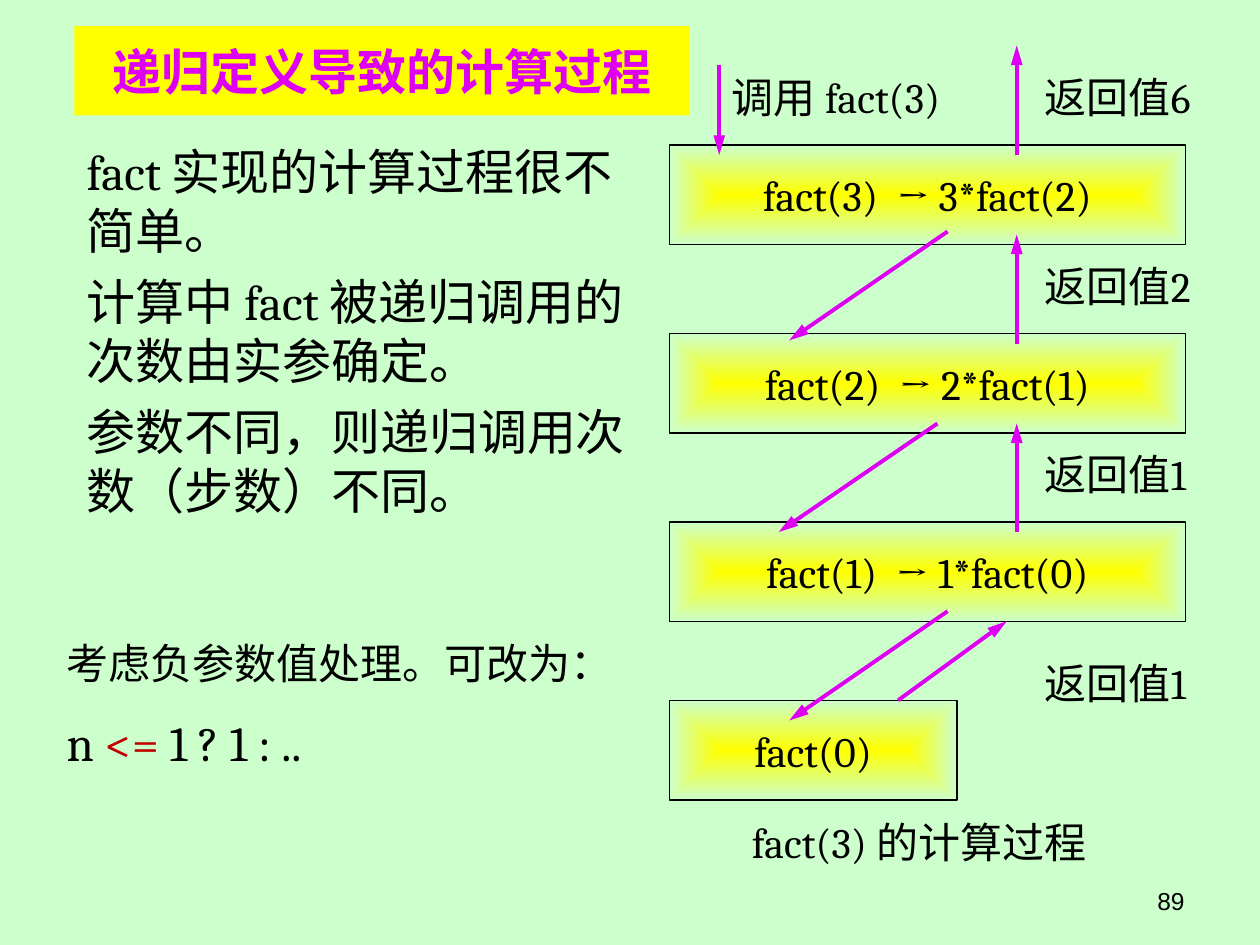
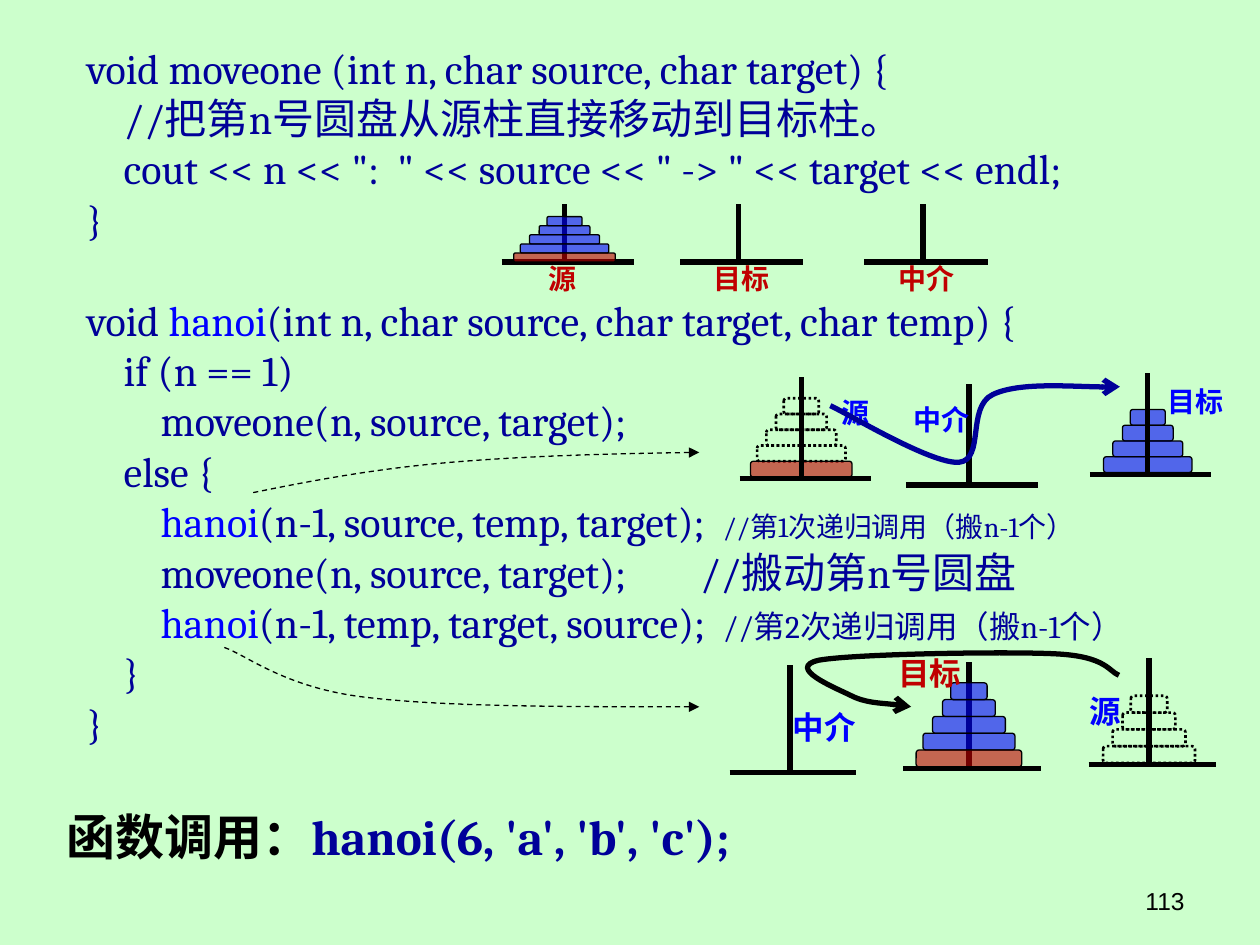
"""Build two slides on recursion: the factorial call chain and the Hanoi towers."""
from lxml.etree import SubElement
from pptx import Presentation
from pptx.dml.color import RGBColor
from pptx.enum.dml import MSO_LINE
from pptx.enum.shapes import MSO_CONNECTOR, MSO_SHAPE
from pptx.enum.text import MSO_ANCHOR, PP_ALIGN
from pptx.oxml.ns import qn
from pptx.util import Pt

BLACK = RGBColor(0x00, 0x00, 0x00)
MINT = RGBColor(0xCC, 0xFF, 0xCC)
YELLOW = RGBColor(0xFF, 0xFF, 0x00)
MAGENTA = RGBColor(0xDE, 0x00, 0xF2)
RED = RGBColor(0xC0, 0x00, 0x00)
BLUE = RGBColor(0x00, 0x00, 0xFF)
NAVY = RGBColor(0x00, 0x00, 0x99)

BODY = {"size": Pt(28), "name": "Cambria", "color": BLACK}
CAPTION = {**BODY, "size": Pt(24)}
TITLE = {**BODY, "bold": True, "color": MAGENTA}
CODE = {**CAPTION, "color": NAVY}
NUMBER = {"size": Pt(14), "name": "Arial", "color": BLACK}
LABEL = {"name": "Times New Roman", "bold": True}
CALL = {"color": BLUE}


def write_text(shape, lines, style, align=PP_ALIGN.LEFT, space=0, inset=(7.2, 3.6)):
    """Fill a shape with lines, each a string or a list of (text, changes) runs."""
    frame = shape.text_frame
    frame.word_wrap = True
    for side, length in zip(("left", "top", "right", "bottom"), inset * 2):
        setattr(frame, f"margin_{side}", Pt(length))
    for index, line in enumerate(lines):
        paragraph = frame.add_paragraph() if index else frame.paragraphs[0]
        paragraph.alignment = align
        if index and space:
            paragraph.space_before = Pt(space)
        for text, changes in [(line, {})] if isinstance(line, str) else line:
            run = paragraph.add_run()
            run.text = text
            for key, value in {**style, **changes}.items():
                if key == "color":
                    run.font.color.rgb = value
                else:
                    setattr(run.font, key, value)


def style_line(shape, color, width, head=None, dash=None, head_length="med"):
    """Set the outline, dash and arrowhead of a shape and remove its shadow."""
    shape.line.color.rgb = color
    shape.line.width = Pt(width)
    if dash:
        shape.line.dash_style = dash
    if head:
        SubElement(shape.line._get_or_add_ln(), qn("a:tailEnd"), type=head, len=head_length)
    SubElement(shape.element.spPr, qn("a:effectLst"))


presentation = Presentation()
presentation.slide_width, presentation.slide_height = Pt(720), Pt(540)
slides = []
for number in ("89", "113"):
    slide = presentation.slides.add_slide(presentation.slide_layouts[6])
    slide.background.fill.solid()
    slide.background.fill.fore_color.rgb = MINT
    number_box = slide.shapes.add_textbox(Pt(516), Pt(502.5), Pt(168), Pt(27))
    write_text(number_box, [number], NUMBER, PP_ALIGN.RIGHT)
    slides.append(slide)
factorial_slide, hanoi_slide = slides

shapes = factorial_slide.shapes
title = shapes.add_shape(MSO_SHAPE.RECTANGLE, Pt(42.5), Pt(15), Pt(351.5), Pt(51))
title.shadow.inherit = False
title.fill.solid()
title.fill.fore_color.rgb = YELLOW
title.line.fill.background()
title.text_frame.vertical_anchor = MSO_ANCHOR.MIDDLE
write_text(title, ["递归定义导致的计算过程"], TITLE, PP_ALIGN.CENTER)

explanation = [
    "fact 实现的计算过程很不简单。",
    "计算中 fact 被递归调用的次数由实参确定。",
    "参数不同，则递归调用次数（步数）不同。",
]
negative_case = [
    [("考虑负参数值处理。可改为：", {"size": Pt(24)})],
    [("n ", {}), ("<=", {"color": RED}), (" 1 ? 1 : ..", {})],
]
for left, top, width, height, lines, style, space in (
    (42.5, 77.3, 323.5, 250, explanation, BODY, 7),
    (31, 360.7, 306, 87, negative_case, BODY, 14),
    (411, 37.4, 153.5, 36, ["调用 fact(3)"], CAPTION, 0),
    (590, 37.4, 130, 36, ["返回值6"], CAPTION, 0),
    (590, 145.2, 130, 36, ["返回值2"], CAPTION, 0),
    (590, 252.8, 130, 36, ["返回值1"], CAPTION, 0),
    (590, 372, 130, 36, ["返回值1"], CAPTION, 0),
    (422.6, 463, 232.5, 36, ["fact(3) 的计算过程"], CAPTION, 0),
):
    text_box = shapes.add_textbox(Pt(left), Pt(top), Pt(width), Pt(height))
    write_text(text_box, lines, style, space=space)

for top, width, call in (
    (82.8, 295, "fact(3)  → 3*fact(2)"),
    (190.5, 295, "fact(2)  → 2*fact(1)"),
    (298.2, 295, "fact(1)  → 1*fact(0)"),
    (400.2, 164.5, "fact(0)"),
):
    call_box = shapes.add_shape(MSO_SHAPE.RECTANGLE, Pt(382.4), Pt(top), Pt(width), Pt(57))
    call_box.fill.gradient()
    for stop, color in zip(call_box.fill.gradient_stops, (YELLOW, MINT)):
        stop.color.rgb = color
    gradient = call_box.element.spPr.find(qn("a:gradFill"))
    gradient.remove(gradient.find(qn("a:lin")))
    shading = SubElement(gradient, qn("a:path"), {"path": "shape"})
    SubElement(shading, qn("a:fillToRect"), dict.fromkeys("ltrb", "50000"))
    style_line(call_box, BLACK, 0.75)
    call_box.text_frame.vertical_anchor = MSO_ANCHOR.MIDDLE
    write_text(call_box, [call], CAPTION, PP_ALIGN.CENTER)

for ends in (
    (411, 37.4, 411, 88.5),
    (541.5, 132.3, 451, 194.5),
    (535.7, 242, 445, 304),
    (541.5, 349.3, 451, 411.7),
    (513.2, 400.2, 575.3, 355),
    (581, 304, 581, 242),
    (581, 196.3, 581, 134),
    (581, 88.5, 581, 26),
):
    arrow = shapes.add_connector(MSO_CONNECTOR.STRAIGHT, *map(Pt, ends))
    style_line(arrow, MAGENTA, 2.25, "triangle", head_length="lg")

shapes = hanoi_slide.shapes
example = shapes.add_textbox(Pt(31), Pt(457.2), Pt(659.5), Pt(41))
example_runs = [
    ("函数调用：", {"name": "Times New Roman"}),
    ("hanoi(6, 'a', 'b', 'c');", {"color": NAVY}),
]
write_text(example, [example_runs], {**BODY, "bold": True})

code_lines = [
    "void moveone (int n, char source, char target) {",
    "    //把第n号圆盘从源柱直接移动到目标柱。",
    '    cout << n << ":  " << source << " -> " << target << endl;',
    "}",
    [("void ", {}), ("hanoi", CALL), ("(int n, char source, char target, char temp) {", {})],
    "    if (n == 1)",
    "        moveone(n, source, target);",
    "    else {",
    [("        ", {}), ("hanoi", CALL), ("(n-1, source, temp, target);\t", {}),
     ("//第1次递归调用（搬n-1个）", {"size": Pt(16)})],
    "        moveone(n, source, target);\t//搬动第n号圆盘",
    [("        ", {}), ("hanoi", CALL), ("(n-1, temp, target, source);\t", {}),
     ("//第2次递归调用（搬n-1个）", {"size": Pt(18)})],
    "    }",
    "}",
]
code = shapes.add_textbox(Pt(42.5), Pt(20.5), Pt(641), Pt(421))
write_text(code, code_lines, CODE)
code_paragraphs = code.text_frame.paragraphs
code_paragraphs[4].space_before = Pt(28.8)
for index, position in ((8, 363.5), (9, 350.5), (10, 363.5)):
    tabs = SubElement(code_paragraphs[index]._p.get_or_add_pPr(), qn("a:tabLst"))
    SubElement(tabs, qn("a:tab"), pos=str(Pt(position)), algn="l")

DISC_WIDTHS = (20, 29, 40, 50.5, 58)
DISC_COLORS = {"blue": BLUE, "red": RED}
MOVED, LAST = ["dotted"] * 4, ["red"]
SMALL = ["blue"] * 4
towers = (
    (5.2, 0, 33, 1, 16, False, (
        (322.6, 149.8, 286.6, 362.2, SMALL + LAST, "源", RED, 321.3, 149.4),
        (421.9, 149.8, 388.8, 458.6, [], "目标", RED, 423.6, 149.4),
        (527.4, 149.8, 493.9, 564.5, [], "中介", RED, 529.4, 149.4),
    )),
    (9, 1, 58, 1, 16, True, (
        (457.9, 273.6, 422.6, 497.5, MOVED + LAST, "源", BLUE, 488.7, 226.1),
        (553.7, 277.2, 517.7, 593.3, [], "中介", BLUE, 537.8, 229.8),
        (655.9, 271, 622.8, 691.9, SMALL, "目标", BLUE, 683.2, 219.6),
    )),
    (9.6, 1, 61.2, 1.04, 18, False, (
        (451.4, 441.4, 416.9, 488.9, [], "中介", BLUE, 470.9, 404.6),
        (553.7, 439.2, 516.2, 594.7, SMALL + LAST, "目标", RED, 531.4, 373.7),
        (656.6, 437, 622.1, 694.8, MOVED, "源", BLUE, 631.4, 395.3),
    )),
)
for step, gap, pole_height, scale, label_size, pole_in_front, pegs in towers:
    label_width, label_height = label_size * 2.5, label_size * 1.2
    for x, base, left, right, discs, name, color, label_center, label_top in pegs:
        for layer in ("discs", "pegs") if pole_in_front else ("pegs", "discs"):
            if layer == "pegs":
                for ends in ((x, base, x, base - pole_height), (left, base, right, base)):
                    bar = shapes.add_connector(MSO_CONNECTOR.STRAIGHT, *map(Pt, ends))
                    style_line(bar, BLACK, 3)
                continue
            for index, (kind, width) in enumerate(zip(discs, DISC_WIDTHS)):
                top = base - gap - step * (len(discs) - index)
                disc = shapes.add_shape(
                    MSO_SHAPE.ROUNDED_RECTANGLE,
                    Pt(x - width * scale / 2), Pt(top), Pt(width * scale), Pt(step),
                )
                if kind == "dotted":
                    disc.fill.background()
                    style_line(disc, BLACK, 1.5, dash=MSO_LINE.ROUND_DOT)
                    continue
                disc.fill.solid()
                disc.fill.fore_color.rgb = DISC_COLORS[kind]
                fill_color = disc.element.spPr.find(qn("a:solidFill"))[0]
                SubElement(fill_color, qn("a:alpha"), val="60000")
                style_line(disc, BLACK, 0.75)
        label = shapes.add_textbox(
            Pt(label_center - label_width / 2), Pt(label_top), Pt(label_width), Pt(label_height)
        )
        label_style = {**LABEL, "size": Pt(label_size), "color": color}
        write_text(label, [name], label_style, PP_ALIGN.CENTER, inset=(0, 0))

for color, width, head, dash, points in (
    (NAVY, 3, "arrow", None, (
        (474.5, 231.8), (486.7, 237.6), (532, 265), (547.9, 264.2), (563, 262.8),
        (552.2, 232.6), (567.4, 225.4), (582.5, 218.2), (625, 221.8), (640, 221))),
    (BLACK, 3, "arrow", None, (
        (639.4, 385.9), (633.6, 383.8), (632.2, 375.1), (603.4, 373.7), (575.3, 372.2),
        (488.2, 373.7), (468, 377.3), (448.6, 381.6), (477.4, 393.1), (486, 397.4),
        (494.6, 401.8), (513.4, 402.5), (520.6, 403.9))),
    (BLACK, 0.75, "triangle", MSO_LINE.DASH, (
        (128.2, 370), (141, 374.4), (162, 392.4), (206.6, 398.2),
        (252, 403.9), (325.4, 403.9), (399.6, 403.9))),
    (BLACK, 0.75, "triangle", MSO_LINE.DASH, (
        (144.7, 281.5), (180, 274.3), (215.3, 267.8), (257.8, 264.2),
        (300.2, 260.6), (350, 259.2), (399.6, 258.5))),
):
    start, *rest = [(Pt(x), Pt(y)) for x, y in points]
    builder = shapes.build_freeform(*start)
    builder.add_line_segments(rest, close=False)
    curve = builder.convert_to_shape()
    segments = curve.element.xpath(".//a:lnTo")
    outline = segments[0].getparent()
    for first in range(0, len(segments), 3):
        bend = SubElement(outline, qn("a:cubicBezTo"))
        for segment in segments[first:first + 3]:
            bend.append(segment[0])
            outline.remove(segment)
    curve.fill.background()
    style_line(curve, color, width, head, dash)

presentation.save("out.pptx")
